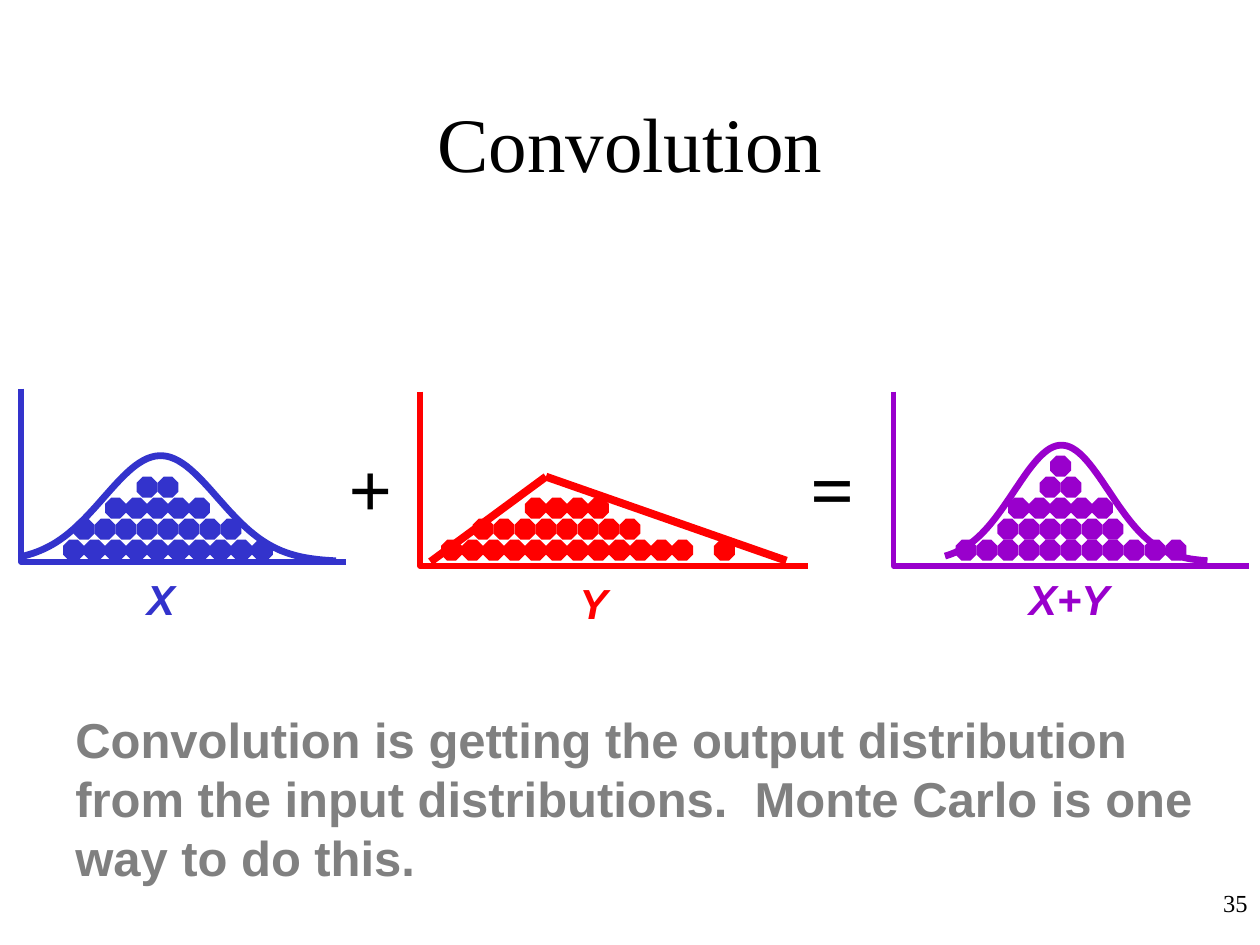
import math
import pptx
import pptx.util
import pptx.dml.color
import pptx.enum.shapes
import pptx.enum.text
import pptx.oxml.ns
from lxml import etree

SCALE = 7620
DOT = 20
BLUE, RED, PLUM = "3333CC", "FF0000", "9900CC"
ALIGN = pptx.enum.text.PP_ALIGN
ANCHOR = pptx.enum.text.MSO_ANCHOR
KIND = pptx.enum.shapes.MSO_SHAPE


def emu(px):
    return pptx.util.Emu(round(px * SCALE))


def paint(part, hue):
    part.rgb = pptx.dml.color.RGBColor.from_string(hue)


def write(slide, box, text, size, face, hue, bold=False, italic=False,
          align=ALIGN.LEFT, anchor=ANCHOR.TOP, wrap=True, inset=True):
    frame = slide.shapes.add_textbox(*map(emu, box)).text_frame
    frame.word_wrap = wrap
    frame.vertical_anchor = anchor
    if not inset:
        frame.margin_left = frame.margin_right = 0
        frame.margin_top = frame.margin_bottom = 0
    para = frame.paragraphs[0]
    para.text = text
    para.alignment = align
    font = para.font
    font.size, font.name = pptx.util.Pt(size), face
    font.bold, font.italic = bold, italic
    paint(font.color, hue)


def trace(slide, points, hue, width):
    spots = [(emu(x), emu(y)) for x, y in points]
    pen = slide.shapes.build_freeform(*spots[0], scale=1.0)
    pen.add_line_segments(spots[1:], close=False)
    shape = pen.convert_to_shape()
    shape.shadow.inherit = False
    shape.fill.background()
    paint(shape.line.color, hue)
    shape.line.width = pptx.util.Pt(width)


def bell(slide, box, hue, span, mid, sigma, peak):
    left, top, _, high = box
    start, end = span
    points = []
    for step in range(81):
        x = start + (end - start) * step / 80
        rise = peak * math.exp(-((x - mid) / sigma) ** 2 / 2)
        points.append((left + x, top + high - rise))
    trace(slide, points, hue, 3.88)


def slopes(slide, box, hue, knots):
    left, top = box[:2]
    for (ax, ay), (bx, by) in zip(knots, knots[1:]):
        line = slide.shapes.add_connector(
            pptx.enum.shapes.MSO_CONNECTOR.STRAIGHT,
            emu(left + ax), emu(top + ay), emu(left + bx), emu(top + by))
        paint(line.line.color, hue)
        line.line.width = pptx.util.Pt(4.5)
        etree.SubElement(line._element.spPr, pptx.oxml.ns.qn("a:effectLst"))


def plot(slide, box, hue, name, spot, rows, lift):
    left, top, wide, high = box
    base = top + high
    trace(slide, [(left, top), (left, base), (left + wide, base)], hue, 3.13)
    x, y, size = spot
    write(slide, (left + x, base + y, size, 48), name, 24, "Arial", hue,
          bold=True, italic=True, wrap=False, inset=False)
    for level, start, count in rows:
        for col in range(count):
            dot = slide.shapes.add_shape(
                KIND.OCTAGON, emu(left + start + col * DOT),
                emu(base - lift - (level + 1) * DOT), emu(DOT), emu(DOT))
            dot.shadow.inherit = False
            dot.fill.solid()
            paint(dot.fill.fore_color, hue)
            dot.line.fill.background()


def signs(slide, box, marks):
    left, top, wide, high = box
    for x, mark in marks:
        write(slide, (left + x, top, wide, high), mark, 44,
              "Times New Roman", "000000", bold=True, wrap=False)


def main():
    deck = pptx.Presentation()
    deck.slide_width, deck.slide_height = emu(1200), emu(900)
    slide = deck.slides.add_slide(deck.slide_layouts[6])

    write(slide, (90, 60, 1020, 150), "Convolution", 44, "Times New Roman",
          "000000", align=ALIGN.CENTER, anchor=ANCHOR.MIDDLE)

    first = (20, 370, 310, 165)
    bell(slide, first, BLUE, (0, 300), 133, 54, 101)
    plot(slide, first, BLUE, "X", (120, 11, 26),
         [(0, 40, 10), (1, 50, 8), (2, 80, 5), (3, 110, 2)], 1)

    second = (400, 373, 370, 166)
    slopes(slide, second, RED, [(10, 162), (120, 81), (349, 161)])
    plot(slide, second, RED, "Y", (152, 11, 26),
         [(0, 20, 12), (0, 280, 1), (1, 50, 8), (2, 100, 4)], 5)

    third = (851, 373, 339, 166)
    bell(slide, (851, 373, 339, 162), PLUM, (49, 299), 160, 45, 111)
    plot(slide, third, PLUM, "X+Y", (129, 7, 77),
         [(0, 59, 11), (1, 99, 6), (2, 109, 5), (3, 139, 2), (4, 149, 1)], 5)

    signs(slide, (320, 414, 66, 100), [(0, "+"), (440, "=")])

    write(slide, (60, 670, 1090, 180),
          "Convolution is getting the output distribution from the input "
          "distributions.  Monte Carlo is one way to do this.",
          28, "Arial", "808080", bold=True)
    write(slide, (950, 840, 250, 60), "35", 14, "Times New Roman", "000000",
          align=ALIGN.RIGHT)
    deck.save("out.pptx")


if __name__ == "__main__":
    main()
